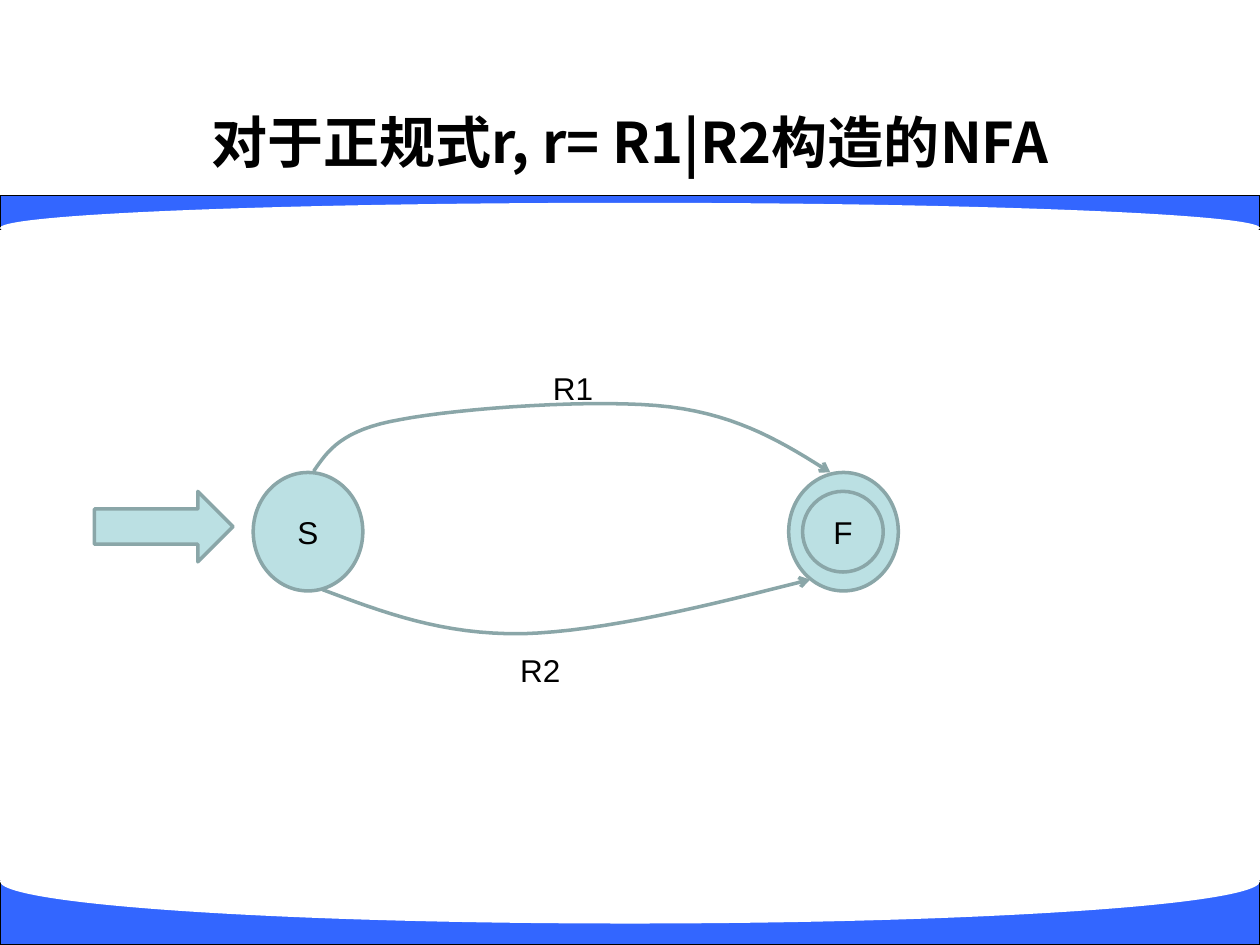
from lxml import etree
from pptx import Presentation
from pptx import util as u
from pptx.dml.color import RGBColor
from pptx.enum import shapes, text
from pptx.oxml.ns import qn

BLUE, WHITE, BLACK = "3366FF", "FFFFFF", "000000"
AQUA, GREY = "BBE0E3", "8AA6A8"
KIND = shapes.MSO_SHAPE

deck = Presentation()
deck.slide_width, deck.slide_height = u.Inches(10), u.Inches(7.5)
page = deck.slides.add_slide(deck.slide_layouts[6])


def paint(shape, fill=None, line=None, width=2):
    shape.shadow.inherit = False
    for part, color in ((shape.fill, fill), (shape.line.fill, line)):
        if color:
            part.solid()
            part.fore_color.rgb = RGBColor.from_string(color)
        else:
            part.background()
    if line:
        shape.line.width = u.Pt(width)


def write(shape, words, size=18, font="Arial", bold=False, wrap=True,
          align=text.PP_ALIGN.CENTER, anchor=text.MSO_ANCHOR.MIDDLE):
    frame = shape.text_frame
    frame.word_wrap = wrap
    frame.vertical_anchor = anchor
    para = frame.paragraphs[0]
    para.alignment = align
    span = para.add_run()
    span.text = words
    span.font.size, span.font.name, span.font.bold = u.Pt(size), font, bold
    span.font.color.rgb = RGBColor.from_string(BLACK)
    etree.SubElement(span.font._element, qn("a:ea"), typeface=font)


# Curved blue bands: a bar partly covered by a white ellipse
for bar_top, bar_height, oval_top, oval_height in (
        (1.55, 0.27, 1.61, 0.4), (6.99, 0.51, 6.66, 0.67)):
    bar = page.shapes.add_shape(
        KIND.RECTANGLE, 0, u.Inches(bar_top), u.Inches(10), u.Inches(bar_height))
    paint(bar, BLUE, BLACK, 0.75)
    oval = page.shapes.add_shape(
        KIND.OVAL, 0, u.Inches(oval_top), u.Inches(10), u.Inches(oval_height))
    paint(oval, WHITE)

# Title
title = page.shapes.add_textbox(
    u.Inches(0.75), u.Inches(0.76), u.Inches(8.5), u.Inches(0.68))
write(title, "对于正规式r, r= R1|R2构造的NFA", size=32,
      font="Noto Sans CJK SC", bold=True, anchor=text.MSO_ANCHOR.BOTTOM)

# States and the start arrow
for kind, left, top, width, height, label in (
        (KIND.OVAL, 2.01, 3.75, 0.87, 0.94, "S"),
        (KIND.OVAL, 6.26, 3.75, 0.87, 0.94, None),
        (KIND.OVAL, 6.37, 3.9, 0.64, 0.64, "F"),
        (KIND.RIGHT_ARROW, 0.75, 3.9, 1.1, 0.56, None)):
    state = page.shapes.add_shape(
        kind, u.Inches(left), u.Inches(top), u.Inches(width), u.Inches(height))
    paint(state, AQUA, GREY)
    if label:
        write(state, label, wrap=False)

# Transitions: cubic curves, each given as a start and (control, control, end)
STEPS = 16
for start, curves in (
        ((2.49, 3.74), (((2.6, 3.58), (2.71, 3.41), (3.18, 3.33)),
                        ((3.65, 3.24), (4.75, 3.16), (5.32, 3.23)),
                        ((5.88, 3.3), (6.24, 3.53), (6.59, 3.75)))),
        ((2.56, 4.68), (((3.04, 4.86), (3.51, 5.04), (4.15, 5.03)),
                        ((4.8, 5.01), (5.61, 4.81), (6.43, 4.6))))):
    points = [start]
    for curve in curves:
        corners = (points[-1], *curve)
        for step in range(1, STEPS + 1):
            t = step / STEPS
            weights = ((1 - t) ** 3, 3 * t * (1 - t) ** 2,
                       3 * t ** 2 * (1 - t), t ** 3)
            points.append(tuple(
                sum(w * corner[axis] for w, corner in zip(weights, corners))
                for axis in (0, 1)))
    # The builder rounds to whole units, so it gets full-resolution lengths
    places = [(u.Inches(x), u.Inches(y)) for x, y in points]
    builder = page.shapes.build_freeform(*places[0])
    builder.add_line_segments(places[1:], close=False)
    transition = builder.convert_to_shape()
    paint(transition, line=GREY)
    outline = transition._element.spPr.find(qn("a:ln"))
    etree.SubElement(outline, qn("a:round"))
    etree.SubElement(outline, qn("a:tailEnd"), type="arrow")

# Transition labels
for label, left, top in (("R1", 4.29, 2.88), ("R2", 4.03, 5.12)):
    box = page.shapes.add_textbox(
        u.Inches(left), u.Inches(top), u.Inches(0.52), u.Inches(0.4))
    write(box, label, wrap=False, align=text.PP_ALIGN.LEFT,
          anchor=text.MSO_ANCHOR.TOP)
    box.text_frame.auto_size = text.MSO_AUTO_SIZE.SHAPE_TO_FIT_TEXT

deck.save("out.pptx")
